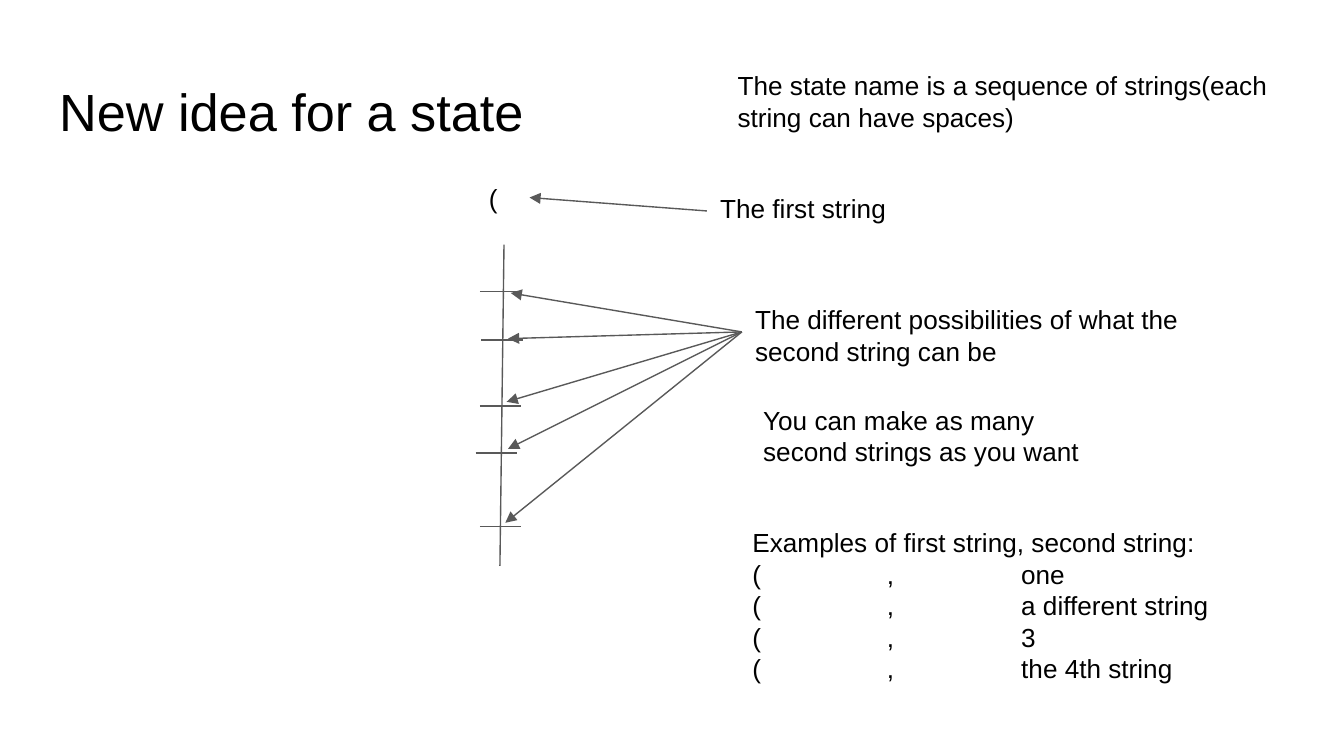
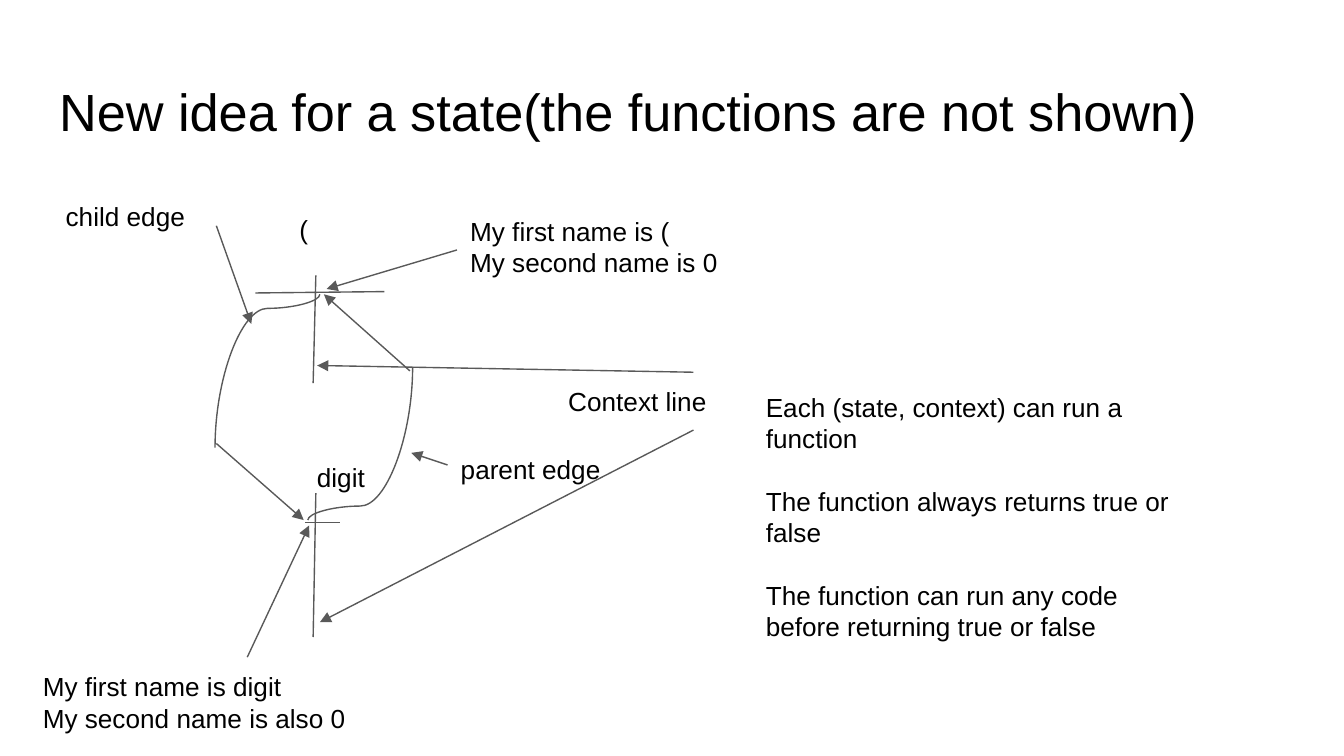
from pptx import Presentation
from pptx.dml.color import RGBColor
from pptx.enum.shapes import MSO_CONNECTOR
from pptx.enum.text import MSO_ANCHOR, MSO_AUTO_SIZE, PP_ALIGN
from pptx.oxml.ns import qn
from pptx.util import Inches, Pt
from lxml.etree import SubElement

BLACK = RGBColor(0x00, 0x00, 0x00)
GRAY = RGBColor(0x59, 0x59, 0x59)
FONT = "Arial"
TITLE_AREA = (0.34, 0.49, 9.32, 0.63)
TITLE_ONLY = 5


def write_text(box, text, *, area, size=14, gap=0, tabs=()):
    """Place a box and fill it, one paragraph per line of text."""
    box.left, box.top, box.width, box.height = [Inches(value) for value in area]
    frame = box.text_frame
    frame.word_wrap = True
    frame.auto_size = MSO_AUTO_SIZE.NONE
    frame.vertical_anchor = MSO_ANCHOR.TOP
    frame.margin_left = frame.margin_right = Inches(0.1)
    frame.margin_top = frame.margin_bottom = Inches(0.1)
    for number, line in enumerate(text.split("\n")):
        para = frame.add_paragraph() if number else frame.paragraphs[0]
        para.alignment = PP_ALIGN.LEFT
        para.space_before = Pt(gap if number else 0)
        if tabs:
            stops = SubElement(para._p.get_or_add_pPr(), qn("a:tabLst"))
            for position in tabs:
                SubElement(stops, qn("a:tab"), pos=str(Inches(position)), algn="l")
        span = para.add_run()
        span.text = line
        span.font.name = FONT
        span.font.size = Pt(size)
        span.font.color.rgb = BLACK


def draw_line(page, start, end, *, arrow=False, kind=MSO_CONNECTOR.STRAIGHT):
    points = [Inches(value) for value in (*start, *end)]
    connector = page.shapes.add_connector(kind, *points)
    connector.line.color.rgb = GRAY
    connector.line.width = Pt(0.75)
    properties = connector._element.spPr
    if arrow:
        SubElement(properties.find(qn("a:ln")), qn("a:tailEnd"), type="triangle")
    SubElement(properties, qn("a:effectLst"))
    return connector


deck = Presentation()
deck.slide_width = Inches(10)
deck.slide_height = deck.slide_width * 9 // 16

pages = []
for title in ("New idea for a state", "New idea for a state(the functions are not shown)"):
    page = deck.slides.add_slide(deck.slide_layouts[TITLE_ONLY])
    write_text(page.shapes.title, title, area=TITLE_AREA, size=28)
    pages.append(page)
names_page, edges_page = pages

# Slide 1: the parts of a state name
draw_line(names_page, (3.75, 1.82), (3.72, 4.21))
for left, height in ((3.57, 2.17), (3.58, 2.53), (3.57, 3.02), (3.54, 3.37), (3.57, 3.92)):
    draw_line(names_page, (left, height), (left + 0.31, height))

draw_line(names_page, (5.26, 1.57), (3.94, 1.47), arrow=True)
for second_string in ((3.8, 2.18), (3.78, 2.52), (3.77, 2.99), (3.78, 3.34), (3.76, 3.89)):
    draw_line(names_page, (5.52, 2.47), second_string, arrow=True)

name_notes = (
    ("(", (3.54, 1.26, 0.4, 0.43)),
    ("The state name is a sequence of strings(each string can have spaces)",
     (5.39, 0.42, 4.27, 0.76)),
    ("The first string", (5.26, 1.33, 2.02, 0.49)),
    ("The different possibilities of what the second string can be",
     (5.52, 2.16, 3.44, 0.63)),
    ("You can make as many second strings as you want", (5.58, 2.91, 2.7, 0.63)),
)

# Slide 2: two states joined by a child edge and a parent edge
for start, end in (
    ((2.35, 2.05), (2.33, 2.85)),  # context line of "("
    ((1.9, 2.18), (2.86, 2.17)),
    ((2.35, 3.67), (2.33, 4.74)),  # context line of "digit"
    ((2.27, 3.89), (2.53, 3.89)),
):
    draw_line(edges_page, start, end)

for start, end in (
    ((5.16, 2.77), (2.36, 2.72)),  # context line label
    ((5.16, 3.2), (2.38, 4.63)),
    ((1.61, 3.3), (2.26, 3.87)),   # ends of the two edges
    ((3.05, 2.76), (2.41, 2.19)),
    ((1.61, 1.68), (1.87, 2.41)),  # edge labels
    ((3.33, 3.46), (3.06, 3.37)),
    ((3.4, 1.86), (2.43, 2.15)),   # state names
    ((1.84, 4.89), (2.3, 3.91)),
):
    draw_line(edges_page, start, end, arrow=True)

# Each curve is laid flat, then turned so that it leaves its state vertically
for left, top, degrees in ((1.42, 2.37, 90), (2.11, 2.91, 270)):
    edge = draw_line(edges_page, (left, top), (left + 1.14, top + 0.78),
                     kind=MSO_CONNECTOR.CURVE)
    properties = edge._element.spPr
    properties.find(qn("a:xfrm")).set("rot", str(degrees * 60000))
    adjustments = properties.find(qn("a:prstGeom")).find(qn("a:avLst"))
    SubElement(adjustments, qn("a:gd"), name="adj1", fmla="val 9200")

edge_notes = (
    ("(", (2.13, 1.49, 0.4, 0.43)),
    ("Context line", (4.13, 2.77, 2.06, 0.43)),
    ("digit", (2.26, 3.33, 0.64, 0.3)),
    ("child edge", (0.39, 1.39, 1.23, 0.58)),
    ("parent edge", (3.33, 3.27, 1.6, 0.4)),
    ("My first name is (\nMy second name is 0", (3.4, 1.5, 2.56, 0.73)),
    ("My first name is digit\nMy second name is also 0", (0.22, 4.89, 3.24, 0.63)),
)

for page, notes in ((names_page, name_notes), (edges_page, edge_notes)):
    for text, area in notes:
        write_text(page.shapes.add_textbox(0, 0, 0, 0), text, area=area)

write_text(
    names_page.shapes.add_textbox(0, 0, 0, 0),
    "Examples of first string, second string:\n"
    "(\t,\tone\n"
    "(\t, \ta different string\n"
    "(\t,\t3\n"
    "(\t,\tthe 4th string",
    area=(5.5, 3.82, 4.16, 1.35),
    tabs=(1, 2),
)
write_text(
    edges_page.shapes.add_textbox(0, 0, 0, 0),
    "Each (state, context) can run a function\n"
    "The function always returns true or false\n"
    "The function can run any code before returning true or false",
    area=(5.6, 2.81, 3.24, 2.31),
    gap=16.8,
)

deck.save("out.pptx")
